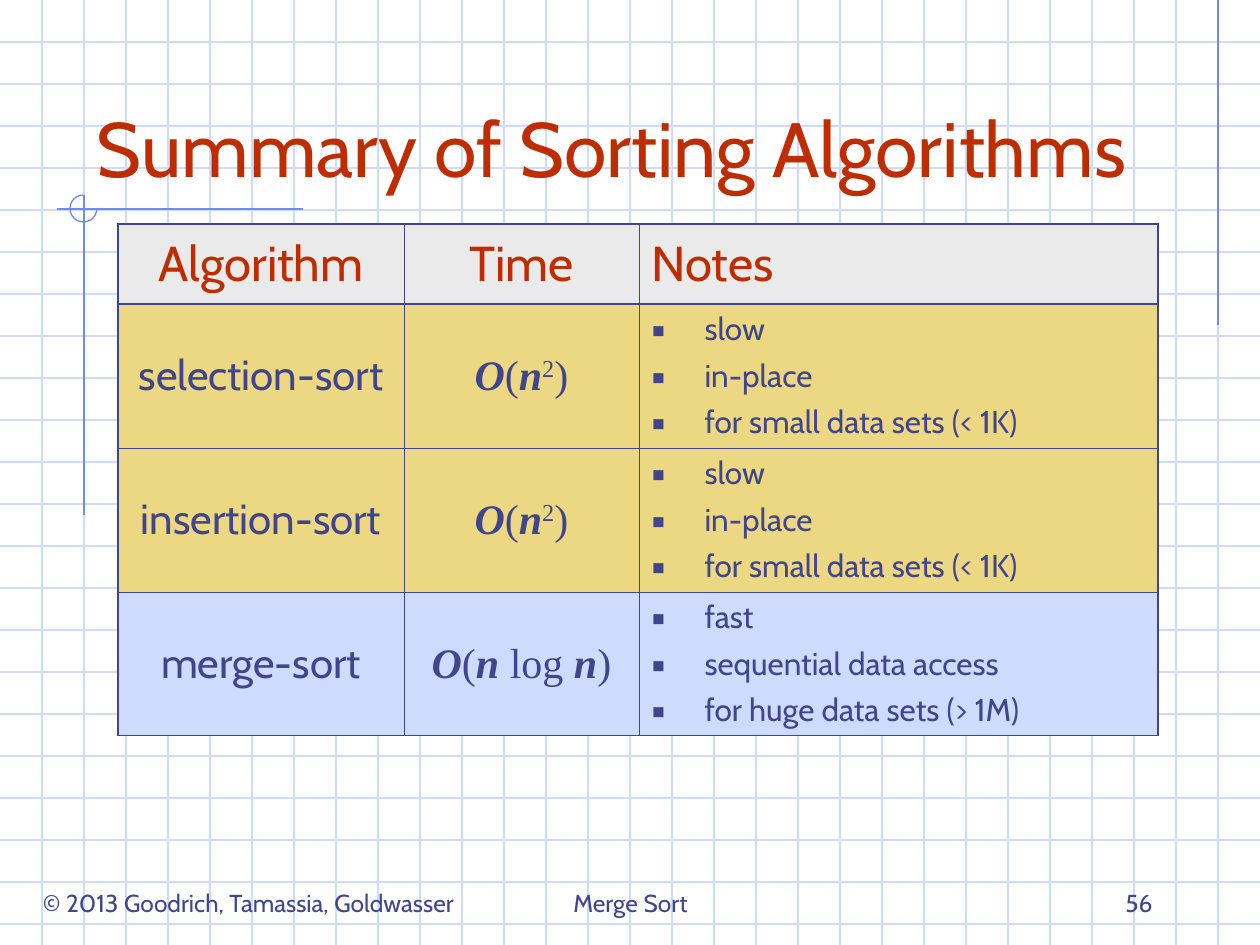
from dataclasses import dataclass

from lxml import etree
from pptx import Presentation
from pptx import util as u
from pptx.dml.color import RGBColor
from pptx.enum import shapes, text
from pptx.oxml import ns

PX = u.Inches(1) // 126
WIDTH, HEIGHT, GRID = 1260, 945, 42
LEFT, CENTER, RIGHT = text.PP_ALIGN.LEFT, text.PP_ALIGN.CENTER, text.PP_ALIGN.RIGHT
TOP, MIDDLE, BOTTOM = text.MSO_ANCHOR.TOP, text.MSO_ANCHOR.MIDDLE, text.MSO_ANCHOR.BOTTOM


@dataclass(frozen=True)
class Theme:
    font: str = "Cabin"
    math_font: str = "Times New Roman"
    ink: str = "40458C"
    accent: str = "BE2D00"
    grid: str = "CFDBFD"
    rule: str = "6F89F7"
    header_fill: str = "EAEAEA"
    slow_fill: str = "ECD882"
    fast_fill: str = "CFDBFD"
    title_size: int = 44
    header_size: int = 28
    cell_size: int = 24
    note_size: int = 18
    footer_size: int = 14
    hairline: float = 0.75
    thin: float = 0.45
    thick: float = 1.08


def add_xml(parent, tag, **attributes):
    return etree.SubElement(parent, ns.qn(tag), attributes)


class SlideBuilder:
    def __init__(self, page, theme):
        self.page, self.theme = page, theme

    def style(self, font, size, color, name=None):
        font.name, font.size = name or self.theme.font, u.Pt(size)
        font.color.rgb = RGBColor.from_string(color)

    def line(self, x1, y1, x2, y2, color):
        line = self.page.shapes.add_connector(
            shapes.MSO_CONNECTOR.STRAIGHT, x1 * PX, y1 * PX, x2 * PX, y2 * PX)
        line.line.color.rgb = RGBColor.from_string(color)
        line.line.width = u.Pt(self.theme.hairline)
        add_xml(line.element.spPr, "a:effectLst")

    def arc(self, x, y, size, color):
        arc = self.page.shapes.add_shape(
            shapes.MSO_SHAPE.ARC, x * PX, y * PX, size * PX, size * PX)
        # Three quarters of a circle, clockwise from the right to the top
        arc.adjustments[0], arc.adjustments[1] = 0, 162
        arc.shadow.inherit = False
        arc.fill.background()
        arc.line.color.rgb = RGBColor.from_string(color)
        arc.line.width = u.Pt(self.theme.hairline)

    def title(self, words, x, y, width, height):
        box = self.page.shapes.title
        box.left, box.top, box.width, box.height = (v * PX for v in (x, y, width, height))
        # Bring the title in front of the grid
        box.element.getparent().append(box.element)
        self.fill_text(box.text_frame, words, self.theme.title_size,
                       self.theme.accent, LEFT, BOTTOM)

    def label(self, words, x, y, width, height, align, anchor):
        box = self.page.shapes.add_textbox(x * PX, y * PX, width * PX, height * PX)
        self.fill_text(box.text_frame, words, self.theme.footer_size,
                       self.theme.ink, align, anchor)

    def fill_text(self, frame, words, size, color, align, anchor):
        frame.word_wrap, frame.auto_size = True, text.MSO_AUTO_SIZE.NONE
        frame.vertical_anchor = anchor
        self.set_para(frame.paragraphs[0], words, size, color, align)

    def set_para(self, para, words, size, color, align):
        para.text, para.alignment = words, align
        self.style(para.font, size, color)

    def formula(self, para, parts):
        para.alignment = CENTER
        for words, kind in parts:
            span = para.add_run()
            span.text = words
            self.style(span.font, self.theme.cell_size, self.theme.ink, self.theme.math_font)
            span.font.bold = span.font.italic = kind == "variable"
            if kind == "power":
                span._r.get_or_add_rPr().set("baseline", "30000")

    def notes(self, frame, items):
        for index, words in enumerate(items):
            para = frame.add_paragraph() if index else frame.paragraphs[0]
            props = para._p.get_or_add_pPr()
            props.set("marL", str(53 * PX))
            props.set("indent", str(-53 * PX))
            if index:
                para.space_before = u.Pt(4.5)
            color = add_xml(props, "a:buClr")
            add_xml(color, "a:srgbClr", val=self.theme.ink)
            add_xml(props, "a:buSzPct", val="110000")
            add_xml(props, "a:buFont", typeface=self.theme.font)
            add_xml(props, "a:buChar", char="▪")
            self.set_para(para, words, self.theme.note_size, self.theme.ink, LEFT)

    def finish_cell(self, cell, fill, thick_sides):
        cell.vertical_anchor = MIDDLE
        props = cell._tc.get_or_add_tcPr()
        for side in "LRTB":
            weight = self.theme.thick if side in thick_sides else self.theme.thin
            border = add_xml(props, f"a:ln{side}", w=str(u.Pt(weight)))
            solid = add_xml(border, "a:solidFill")
            add_xml(solid, "a:srgbClr", val=self.theme.ink)
        cell.fill.solid()
        cell.fill.fore_color.rgb = RGBColor.from_string(fill)

    def summary_table(self, x, y, widths, heights, headers, rows):
        theme = self.theme
        table = self.page.shapes.add_table(
            len(heights), len(widths), x * PX, y * PX,
            sum(widths) * PX, sum(heights) * PX).table
        table.first_row = table.horz_banding = False
        for column, width in zip(table.columns, widths):
            column.width = width * PX
        for row, height in zip(table.rows, heights):
            row.height = height * PX

        for index, words in enumerate(headers):
            self.set_para(table.cell(0, index).text_frame.paragraphs[0], words,
                          theme.header_size, theme.accent,
                          LEFT if words == "Notes" else CENTER)
        for index, (name, time, notes, _) in enumerate(rows, 1):
            name_cell, time_cell, notes_cell = table.rows[index].cells
            self.set_para(name_cell.text_frame.paragraphs[0], name,
                          theme.cell_size, theme.ink, CENTER)
            self.formula(time_cell.text_frame.paragraphs[0], time)
            self.notes(notes_cell.text_frame, notes)

        fills = [theme.header_fill] + [row[-1] for row in rows]
        row_sides = ["TB", "T"] + [""] * (len(rows) - 1)
        column_sides = ["L", "", "R"]
        for row, fill, across in zip(table.rows, fills, row_sides):
            for cell, down in zip(row.cells, column_sides):
                self.finish_cell(cell, fill, across + down)


def main():
    deck = Presentation()
    deck.slide_width, deck.slide_height = WIDTH * PX, HEIGHT * PX
    theme = Theme()
    builder = SlideBuilder(deck.slides.add_slide(deck.slide_layouts[5]), theme)

    # Background grid
    for y in range(GRID, HEIGHT, GRID):
        builder.line(0, y, WIDTH, y, theme.grid)
    for x in range(GRID, WIDTH, GRID):
        builder.line(x, 0, x, HEIGHT, theme.grid)

    # Corner ornament and right rule
    builder.line(1218, 0, 1218, 325, theme.rule)
    builder.line(303, 209, 57, 209, theme.rule)
    builder.line(84, 195, 84, 515, theme.rule)
    builder.arc(70, 195, 27, theme.rule)

    # Footer
    builder.label("© 2013 Goodrich, Tamassia, Goldwasser", 4, 882, 489, 43, CENTER, TOP)
    builder.label("Merge Sort", 431, 861, 399, 63, CENTER, BOTTOM)
    builder.label("56", 903, 861, 262, 63, RIGHT, BOTTOM)

    # Title
    builder.title("Summary of Sorting Algorithms", 84, 42, 1113, 157)

    # Summary table
    start = [("O", "variable"), ("(", ""), ("n", "variable")]
    quadratic = start + [("2", "power"), (")", "")]
    linearithmic = start + [(" log ", ""), ("n", "variable"), (")", "")]
    small = ["slow", "in-place", "for small data sets (< 1K)"]
    huge = ["fast", "sequential data access", "for huge data sets (> 1M)"]
    builder.summary_table(
        118, 224, [286, 235, 519], [80, 144, 144, 144],
        ["Algorithm", "Time", "Notes"],
        [("selection-sort", quadratic, small, theme.slow_fill),
         ("insertion-sort", quadratic, small, theme.slow_fill),
         ("merge-sort", linearithmic, huge, theme.fast_fill)])

    deck.save("out.pptx")


if __name__ == "__main__":
    main()
